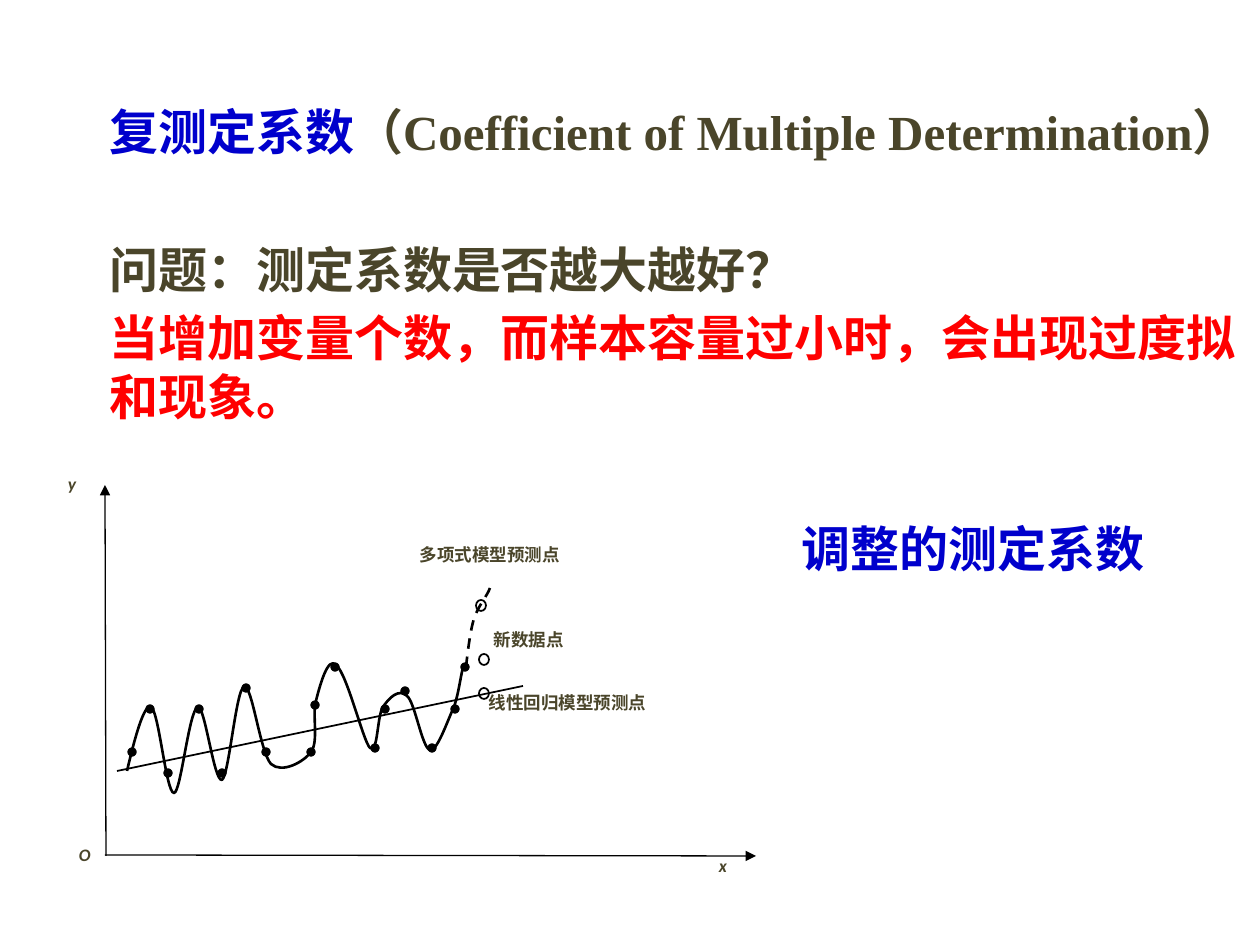
from dataclasses import dataclass
from typing import Any

from lxml.etree import SubElement
from pptx import Presentation
from pptx.dml.color import RGBColor
from pptx.enum.dml import MSO_LINE
from pptx.enum.shapes import MSO_CONNECTOR, MSO_SHAPE
from pptx.enum.text import MSO_ANCHOR, MSO_AUTO_SIZE, PP_ALIGN
from pptx.oxml.ns import qn
from pptx.shapes.shapetree import GroupShapes
from pptx.util import Emu, Pt

BLACK = RGBColor(0x00, 0x00, 0x00)
WHITE = RGBColor(0xFF, 0xFF, 0xFF)
BLUE = RGBColor(0x00, 0x00, 0xCC)
OLIVE = RGBColor(0x4A, 0x45, 0x2A)
RED = RGBColor(0xFF, 0x00, 0x00)

HEADING = {"name": "Times New Roman", "size": Pt(28), "bold": True}
CALLOUT = {"name": "Calibri", "size": Pt(28), "bold": True}
LABEL = {"name": "Calibri", "size": Pt(10), "bold": True, "italic": False}
AXIS_NAME = LABEL | {"italic": True}

Point = tuple[int, int]


@dataclass(frozen=True)
class BodyLine:
    runs: tuple[tuple[str, RGBColor], ...]
    space_before: int = 0


@dataclass(frozen=True)
class Caption:
    text: str
    left: int
    top: int
    width: int
    height: int
    font: dict[str, Any]
    color: RGBColor = OLIVE
    side_inset: int = 13
    top_inset: int = 6
    alignment: PP_ALIGN = PP_ALIGN.JUSTIFY


@dataclass(frozen=True)
class Ray:
    start: Point
    end: Point
    weight: float
    arrow: bool = False


@dataclass(frozen=True)
class Ring:
    left: int
    top: int
    filled: bool = False


BODY_LINES = (
    BodyLine((("复测定系数", BLUE), ("（Coefficient of Multiple Determination）", OLIVE))),
    BodyLine((("问题：测定系数是否越大越好？", OLIVE),), 79),
    BodyLine((("当增加变量个数，而样本容量过小时，会出现过度拟和现象。", RED),), 10),
)
CAPTIONS = (
    Caption("线性回归模型预测点", 476, 686, 278, 64, LABEL),
    Caption("多项式模型预测点", 407, 538, 278, 64, LABEL),
    Caption("新数据点", 481, 623, 163, 64, LABEL),
    Caption("O", 69, 839, 53, 48, AXIS_NAME, side_inset=10, top_inset=5),
    Caption("y", 58, 468, 53, 48, AXIS_NAME, side_inset=10, top_inset=5),
    Caption("x", 709, 850, 53, 48, AXIS_NAME, side_inset=10, top_inset=5),
)
CONCLUSION = Caption("调整的测定系数", 789, 512, 427, 110, CALLOUT, BLUE,
                     alignment=PP_ALIGN.LEFT)
RAYS = (
    Ray((106, 856), (105, 485), 0.75, True),
    Ray((105, 855), (756, 856), 0.75, True),
    Ray((117, 771), (523, 686), 1),
)
FITTED_CURVE = (
    (127, 771), (135, 737), (144, 704), (151, 707),
    (159, 711), (166, 793), (174, 793), (181, 793), (189, 709), (198, 707),
    (205, 706), (214, 782), (222, 780), (229, 776), (236, 689), (244, 687),
    (252, 683), (260, 752), (271, 764), (282, 774), (304, 762), (311, 752),
    (319, 742), (312, 714), (316, 701), (320, 685), (328, 656), (336, 665),
    (347, 673), (363, 741), (370, 748), (378, 755), (377, 716), (383, 707),
    (389, 698), (399, 688), (407, 696), (415, 702), (422, 748), (430, 750),
    (437, 752), (447, 722), (454, 707), (459, 693), (461, 673), (464, 664),
)
EXTENDED_CURVE = (
    (466, 667), (467, 659), (470, 631), (474, 619),
    (478, 606), (488, 595), (490, 588),
)
DATA_POINTS = (
    (130, 750), (148, 707), (166, 771), (197, 707), (220, 771), (244, 686),
    (264, 750), (309, 750), (313, 703), (333, 665), (373, 746), (383, 707),
    (403, 689), (430, 746), (453, 707), (463, 665),
)
RINGS = (Ring(479, 654, True), Ring(479, 688), Ring(476, 600))


def px(length: int) -> Emu:
    return Emu(round(length * 914400 / 126))


def apply(target: Any, formats: dict[str, Any]) -> None:
    for name, value in formats.items():
        setattr(target, name, value)


def add_run(paragraph: Any, text: str, font: dict[str, Any], color: RGBColor) -> None:
    run = paragraph.add_run()
    run.text = text
    apply(run.font, font)
    run.font.color.rgb = color


def fill_body(body: Any) -> None:
    apply(body, {"left": px(50), "top": px(95), "width": px(1210), "height": px(348)})
    frame = body.text_frame
    apply(frame, {"auto_size": MSO_AUTO_SIZE.NONE, "vertical_anchor": MSO_ANCHOR.TOP})
    for index, line in enumerate(BODY_LINES):
        paragraph = frame.add_paragraph() if index else frame.paragraphs[0]
        properties = paragraph._p.get_or_add_pPr()
        properties.set("marL", str(px(47)))
        properties.set("indent", str(px(-47)))
        SubElement(properties, qn("a:buChar")).set("char", " ")
        paragraph.space_before = px(line.space_before)
        for text, color in line.runs:
            add_run(paragraph, text, HEADING, color)


def add_caption(shapes: Any, caption: Caption) -> None:
    box = shapes.add_textbox(px(caption.left), px(caption.top),
                             px(caption.width), px(caption.height))
    apply(box.text_frame, {
        "word_wrap": True,
        "margin_left": px(caption.side_inset),
        "margin_right": px(caption.side_inset),
        "margin_top": px(caption.top_inset),
        "margin_bottom": px(caption.top_inset),
    })
    paragraph = box.text_frame.paragraphs[0]
    paragraph.alignment = caption.alignment
    add_run(paragraph, caption.text, caption.font, caption.color)


def add_ray(shapes: GroupShapes, ray: Ray) -> None:
    connector = shapes.add_connector(MSO_CONNECTOR.STRAIGHT,
                                     *map(px, ray.start + ray.end))
    connector.line.color.rgb = BLACK
    connector.line.width = Pt(ray.weight)
    properties = connector._element.spPr
    if ray.arrow:
        SubElement(properties.find(qn("a:ln")), qn("a:tailEnd")).set("type", "triangle")
    SubElement(properties, qn("a:effectLst"))


def add_curve(shapes: GroupShapes, controls: tuple[Point, ...],
              dash: MSO_LINE | None = None) -> None:
    first, *others = [tuple(map(px, point)) for point in controls]
    builder = shapes.build_freeform(*first)
    builder.add_line_segments(others, close=False)
    curve = builder.convert_to_shape()
    outline = next(curve._element.iter(qn("a:path")))
    for index, segment in enumerate(outline.findall(qn("a:lnTo"))):
        if index % 3 == 0:
            bezier = SubElement(outline, qn("a:cubicBezTo"))
        bezier.append(segment[0])
        outline.remove(segment)
    curve.shadow.inherit = False
    curve.fill.background()
    curve.line.color.rgb = BLACK
    apply(curve.line, {"width": Pt(1.5), "dash_style": dash})


def add_marker(shapes: GroupShapes, left: int, top: int, width: int, height: int,
               fill: RGBColor | None, weight: float) -> None:
    marker = shapes.add_shape(MSO_SHAPE.OVAL, *map(px, (left, top, width, height)))
    marker.shadow.inherit = False
    if fill is None:
        marker.fill.background()
    else:
        marker.fill.solid()
        marker.fill.fore_color.rgb = fill
    marker.line.color.rgb = BLACK
    marker.line.width = Pt(weight)


def main() -> None:
    presentation = Presentation()
    apply(presentation, {"slide_width": px(1260), "slide_height": px(945)})
    slide = presentation.slides.add_slide(presentation.slide_layouts[1])
    title = slide.shapes.title._element
    title.getparent().remove(title)
    fill_body(slide.placeholders[1])

    diagram = slide.shapes.add_group_shape().shapes
    for caption in CAPTIONS:
        add_caption(diagram, caption)
    add_curve(diagram, FITTED_CURVE)
    for left, top in DATA_POINTS:
        add_marker(diagram, left, top, 4, 4, BLACK, 3)
    add_curve(diagram, EXTENDED_CURVE, MSO_LINE.DASH)
    for ray in RAYS:
        add_ray(diagram, ray)
    for ring in RINGS:
        add_marker(diagram, ring.left, ring.top, 10, 11, WHITE if ring.filled else None, 1)
    add_caption(slide.shapes, CONCLUSION)
    presentation.save("out.pptx")


if __name__ == "__main__":
    main()
